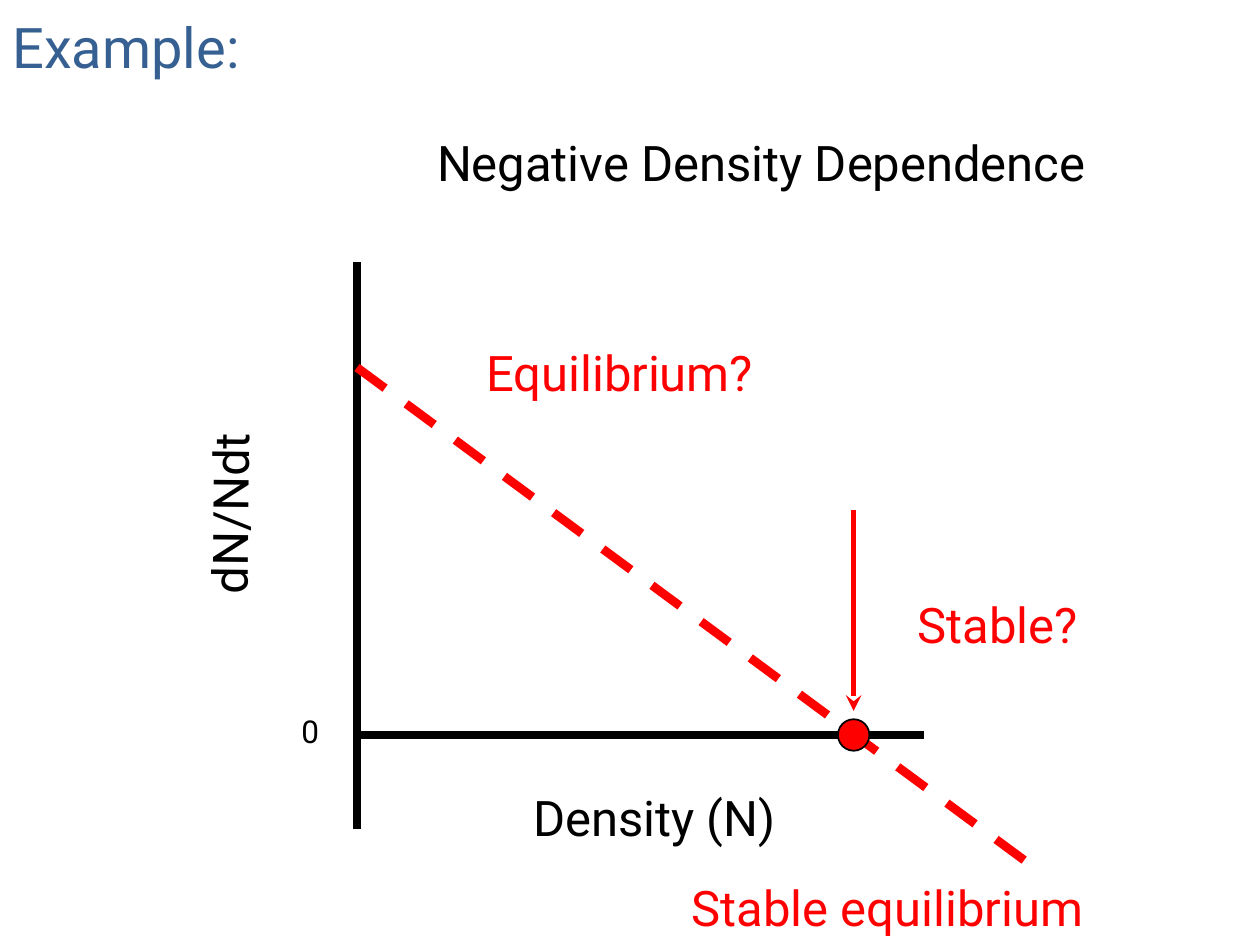
from typing import NamedTuple

from lxml.etree import SubElement
from pptx import Presentation
from pptx.dml.color import RGBColor
from pptx.enum.dml import MSO_LINE
from pptx.enum.shapes import MSO_CONNECTOR, MSO_SHAPE
from pptx.enum.text import MSO_AUTO_SIZE, PP_ALIGN
from pptx.oxml.ns import qn
from pptx.util import Inches, Pt

COLUMNS, ROWS = 120, 90
CELL = Inches(10) / COLUMNS
BLACK, RED, BLUE = "000000", "FF0000", "376092"

AXIS_X, ZERO_Y = 34, 70
EQUILIBRIUM_X = 81.3
DOT_SIZE = 3


class Line(NamedTuple):
    start: tuple[float, float]
    end: tuple[float, float]
    color: str = BLACK
    width: float = 5
    dashed: bool = False
    arrow: bool = False


class Label(NamedTuple):
    text: str
    column: float
    row: float
    columns: float
    rows: float = 6.8
    size: int = 28
    color: str = BLACK
    wrap: bool = True
    alignment: PP_ALIGN = PP_ALIGN.CENTER
    rotation: float = 0


LINES = [
    Line((AXIS_X, 25), (AXIS_X, 79)),
    Line((AXIS_X, ZERO_Y), (88, ZERO_Y)),
    Line((AXIS_X, 35), (99, 83), RED, dashed=True),
    Line((EQUILIBRIUM_X, 48.6), (EQUILIBRIUM_X, 67.7), RED, 3, arrow=True),
]

LABELS = [
    Label("0", 27.4, 67.2, 4.3, 4.8, size=18, wrap=False),
    Label("Density (N)", 49.5, 74.4, 25.6, wrap=False),
    Label("dN/Ndt", 12.4, 45.5, 18.8, wrap=False, rotation=270.6),
    Label("Example:", 0, 0.6, 33, 7.6, 32, BLUE, alignment=PP_ALIGN.LEFT),
    Label("Negative Density Dependence", 29, 12, 87),
    Label("Equilibrium?", 36, 32, 46, color=RED),
    Label("Stable?", 72, 56, 46, color=RED),
    Label("Stable equilibrium", 56, 83, 57, color=RED),
]


def rgb(color: str) -> RGBColor:
    return RGBColor.from_string(color)


def cells(*counts: float) -> list[int]:
    """Turn counts of grid cells into lengths."""
    return [round(count * CELL) for count in counts]


def draw_line(slide, line: Line) -> None:
    connector = slide.shapes.add_connector(
        MSO_CONNECTOR.STRAIGHT, *cells(*line.start, *line.end))
    connector.line.color.rgb = rgb(line.color)
    connector.line.width = Pt(line.width)
    if line.dashed:
        connector.line.dash_style = MSO_LINE.DASH
    properties = connector._element.spPr
    if line.arrow:
        SubElement(properties.find(qn("a:ln")), qn("a:tailEnd"), type="stealth")
    SubElement(properties, qn("a:effectLst"))


def draw_label(slide, label: Label) -> None:
    box = slide.shapes.add_textbox(
        *cells(label.column, label.row, label.columns, label.rows))
    box.rotation = label.rotation
    frame = box.text_frame
    frame.word_wrap = label.wrap
    frame.auto_size = MSO_AUTO_SIZE.SHAPE_TO_FIT_TEXT
    paragraph = frame.paragraphs[0]
    paragraph.alignment = label.alignment
    run = paragraph.add_run()
    run.text = label.text
    run.font.name = "Roboto"
    run.font.size = Pt(label.size)
    run.font.color.rgb = rgb(label.color)


def draw_equilibrium_dot(slide) -> None:
    radius = DOT_SIZE / 2
    dot = slide.shapes.add_shape(
        MSO_SHAPE.OVAL,
        *cells(EQUILIBRIUM_X - radius, ZERO_Y - radius, DOT_SIZE, DOT_SIZE))
    dot.shadow.inherit = False
    dot.fill.solid()
    dot.fill.fore_color.rgb = rgb(RED)
    dot.line.color.rgb = rgb(BLACK)
    dot.line.width = Pt(1)


def main() -> None:
    presentation = Presentation()
    presentation.slide_width, presentation.slide_height = cells(COLUMNS, ROWS)
    slide = presentation.slides.add_slide(presentation.slide_layouts[6])
    for line in LINES:
        draw_line(slide, line)
    draw_equilibrium_dot(slide)
    for label in LABELS:
        draw_label(slide, label)
    presentation.save("out.pptx")


if __name__ == "__main__":
    main()
